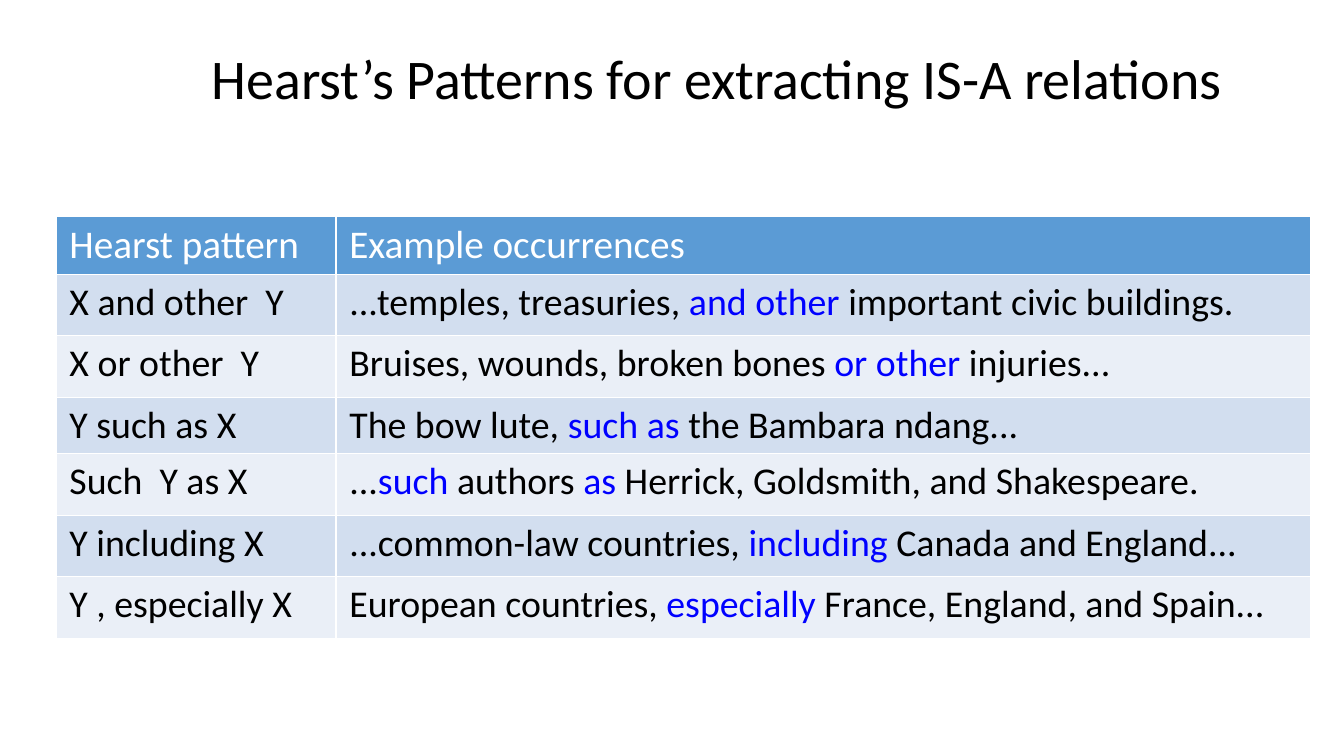
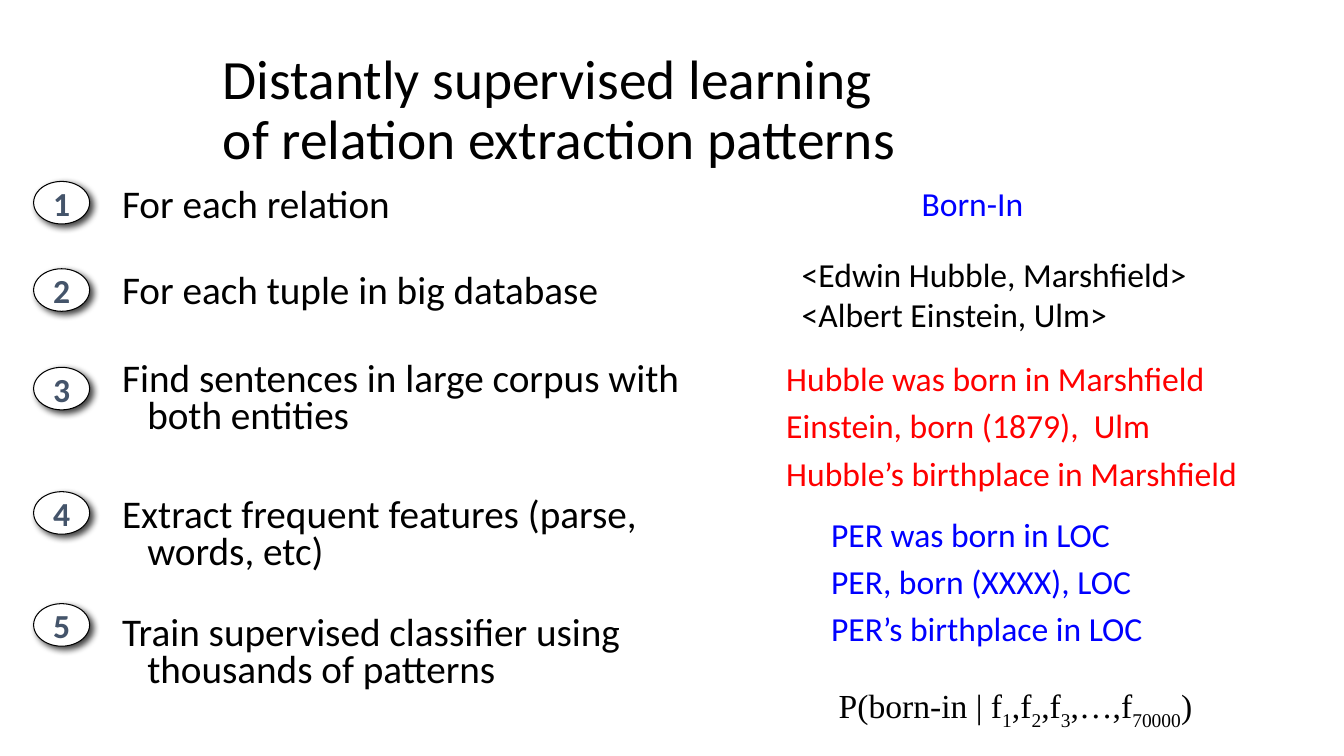
from collections import namedtuple

from lxml import etree
from pptx import Presentation
from pptx.dml.color import RGBColor
from pptx.enum.shapes import MSO_SHAPE
from pptx.enum.text import MSO_ANCHOR, MSO_AUTO_SIZE, PP_ALIGN
from pptx.oxml import parse_xml
from pptx.oxml.ns import nsdecls, qn
from pptx.util import Pt

OVAL = MSO_SHAPE.OVAL
MIDDLE, TOP = MSO_ANCHOR.MIDDLE, MSO_ANCHOR.TOP
LEFT, CENTER = PP_ALIGN.LEFT, PP_ALIGN.CENTER
FIXED, GROW = MSO_AUTO_SIZE.NONE, MSO_AUTO_SIZE.SHAPE_TO_FIT_TEXT

COLUMNS, ROWS = 120, 67.5
UNIT = 101600
BLACK, WHITE, BLUE, RED = "000000", "FFFFFF", "0000FF", "FF0000"
SLATE, HEADER, BAND_DARK, BAND_LIGHT = "44546A", "5B9BD5", "D2DEEF", "EAEFF7"
BODY_FONT, FORMULA_FONT = "Calibri", "Times New Roman"
TITLE_ONLY, TITLE_AND_BODY = 5, 1

Box = namedtuple("Box", "left top width height")

PATTERNS = [
    ("X and other  Y", "...temples, treasuries, *and other *important civic buildings."),
    ("X or other  Y", "Bruises, wounds, broken bones *or other *injuries..."),
    ("Y such as X", "The bow lute, *such as *the Bambara ndang..."),
    ("Such  Y as X", "...*such* authors *as* Herrick, Goldsmith, and Shakespeare."),
    ("Y including X", "...common-law countries, *including* Canada and England..."),
    ("Y , especially X", "European countries, *especially* France, England, and Spain..."),
]
PATTERN_ROWS = [5.1, 5.5, 5.5, 4.95, 5.5, 5.5, 5.5]
PATTERN_COLUMNS = [25, 87]

STEPS = [
    (0, 0, "For each relation"),
    (7.8, 34.4, "For each tuple in big database"),
    (16.6, 35.6, "Find sentences in large corpus with both entities"),
    (27.7, 43.4, "Extract frequent features (parse, words, etc)"),
    (37.7, 30.4, "Train supervised classifier using thousands of patterns"),
]

SENTENCES = [
    "Hubble was born in Marshfield",
    "Einstein, born (1879),  Ulm",
    "Hubble’s birthplace in Marshfield",
]
FEATURES = ["PER was born in LOC", "PER, born (XXXX), LOC", "PER’s birthplace in LOC"]
TUPLES = ["<Edwin Hubble, Marshfield>", "<Albert Einstein, Ulm>"]


def grid(count):
    return round(count * UNIT)


def emu(box):
    return [grid(length) for length in box]


def color(hex_string):
    return RGBColor.from_string(hex_string)


def apply(target, values):
    for name, value in values.items():
        setattr(target, name, value)


def fill_solid(target, hex_string):
    target.fill.solid()
    target.fill.fore_color.rgb = color(hex_string)


def write(para, text, size, ink=BLACK, marked_ink=None, baseline=0,
          font=BODY_FONT, bold=False):
    for index, part in enumerate(text.split("*")):
        if not part:
            continue
        marked = index % 2 == 1
        span = para.add_run()
        span.text = part
        apply(span.font, {"name": font, "size": Pt(size), "bold": bold})
        span.font.color.rgb = color(marked_ink if marked and marked_ink else ink)
        if marked and baseline:
            span.font._element.set("baseline", str(baseline))


def paragraphs(frame, lines):
    for index, line in enumerate(lines):
        yield (frame.add_paragraph() if index else frame.paragraphs[0]), line


def hang(para, indent):
    properties = para._p.get_or_add_pPr()
    properties.set("marL", str(grid(indent)))
    properties.set("indent", str(-grid(indent)))
    etree.SubElement(properties, qn("a:buNone"))


def place(shape, box):
    apply(shape, dict(zip(box._fields, emu(box))))


def add_title(page, box, lines, size):
    title = page.shapes.title
    place(title, box)
    frame = title.text_frame
    apply(frame, {"word_wrap": True, "auto_size": FIXED, "vertical_anchor": MIDDLE})
    para = frame.paragraphs[0]
    apply(para, {"alignment": LEFT, "line_spacing": 0.9})
    for index, line in enumerate(lines):
        if index:
            para.add_line_break()
        write(para, line, size)


def border(cell):
    properties = cell._tc.get_or_add_tcPr()
    for index, side in enumerate(("lnL", "lnR", "lnT", "lnB")):
        properties.insert(index, parse_xml(
            f'<a:{side} {nsdecls("a")} w="12700"><a:solidFill>'
            f'<a:srgbClr val="{WHITE}"/></a:solidFill></a:{side}>'))


def add_pattern_table(page, box):
    entries = [("Hearst pattern", "Example occurrences")] + PATTERNS
    table = page.shapes.add_table(len(entries), len(PATTERN_COLUMNS), *emu(box)).table
    apply(table, {"first_row": False, "horz_banding": False})
    for column, width in zip(table.columns, PATTERN_COLUMNS):
        column.width = grid(width)
    for number, (row, height, texts) in enumerate(zip(table.rows, PATTERN_ROWS, entries)):
        row.height = grid(height)
        band = BAND_DARK if number % 2 else BAND_LIGHT
        fill, ink, size = (band, BLACK, 27) if number else (HEADER, WHITE, 28)
        for cell, text in zip(row.cells, texts):
            apply(cell, {"margin_left": grid(1.2), "margin_right": grid(1.2)})
            fill_solid(cell, fill)
            border(cell)
            write(cell.text_frame.paragraphs[0], text, size, ink, BLUE)


def add_badge(page, box, label):
    badge = page.shapes.add_shape(OVAL, *emu(box))
    badge.shadow.inherit = False
    fill_solid(badge, WHITE)
    badge.line.color.rgb = color(BLACK)
    badge.line.width = Pt(0.75)
    badge._element.spPr.find(qn("a:effectLst")).append(parse_xml(
        f'<a:outerShdw {nsdecls("a")} blurRad="63500" dist="38100" dir="2700000">'
        f'<a:srgbClr val="{BLACK}"><a:alpha val="75000"/></a:srgbClr></a:outerShdw>'))
    frame = badge.text_frame
    apply(frame, {"word_wrap": False, "vertical_anchor": MIDDLE})
    frame.paragraphs[0].alignment = CENTER
    write(frame.paragraphs[0], label, 24, SLATE, bold=True)


def add_steps(page, box):
    body = page.placeholders[1]
    place(body, Box(box.left + 7, box.top + 0.2, box.width - 7, box.height))
    frame = body.text_frame
    apply(frame, {"word_wrap": True, "auto_size": FIXED, "vertical_anchor": TOP})
    for number, (para, step) in enumerate(paragraphs(frame, STEPS), 1):
        offset, gap, text = step
        apply(para, {"line_spacing": 0.8, "space_before": Pt(gap), "space_after": Pt(0)})
        hang(para, 2.25)
        write(para, text, 28)
        add_badge(page, Box(box.left, box.top + offset, 5, 3.8), str(number))


def add_label(page, box, lines, **style):
    frame = page.shapes.add_textbox(*emu(box)).text_frame
    apply(frame, {"word_wrap": False, "auto_size": GROW})
    for para, line in paragraphs(frame, lines):
        write(para, line, 24, **style)


def add_examples(page, box, lines, ink):
    frame = page.shapes.add_textbox(*emu(box)).text_frame
    apply(frame, {"word_wrap": True, "margin_left": grid(1.2), "margin_right": grid(1.2),
                  "margin_top": grid(0.6), "margin_bottom": grid(0.6)})
    for para, line in paragraphs(frame, lines):
        apply(para, {"line_spacing": 0.9, "space_before": Pt(7.7)})
        hang(para, 3.6)
        write(para, line, 24, ink)


def add_page(deck, layout):
    return deck.slides.add_slide(deck.slide_layouts[layout])


def build_patterns(deck):
    page = add_page(deck, TITLE_ONLY)
    add_title(page, Box(18, 2.8, 101, 9), ["Hearst’s Patterns for extracting IS-A relations"], 40)
    add_pattern_table(page, Box(5, 19.3, sum(PATTERN_COLUMNS), sum(PATTERN_ROWS)))


def build_learning(deck):
    page = add_page(deck, TITLE_AND_BODY)
    add_title(page, Box(19, 6.2, 100, 7.5),
              ["Distantly supervised learning ", "of relation extraction patterns"], 39.6)
    add_steps(page, Box(3, 16.2, 61, 48.6))
    add_label(page, Box(81.4, 15.9, 11, 4.5), ["Born-In"], ink=BLUE)
    add_label(page, Box(70.7, 22.2, 36.5, 8.2), TUPLES)
    add_examples(page, Box(69, 31.8, 50, 14), SENTENCES, RED)
    add_examples(page, Box(73, 45.7, 39, 14), FEATURES, BLUE)
    add_label(page, Box(74, 60.75, 34.7, 4.5), ["P(born-in | f*1*,f*2*,f*3*,…,f*70000*)"],
              font=FORMULA_FONT, baseline=-25000)


def main():
    deck = Presentation()
    apply(deck, {"slide_width": grid(COLUMNS), "slide_height": grid(ROWS)})
    build_patterns(deck)
    build_learning(deck)
    deck.save("out.pptx")


if __name__ == "__main__":
    main()
